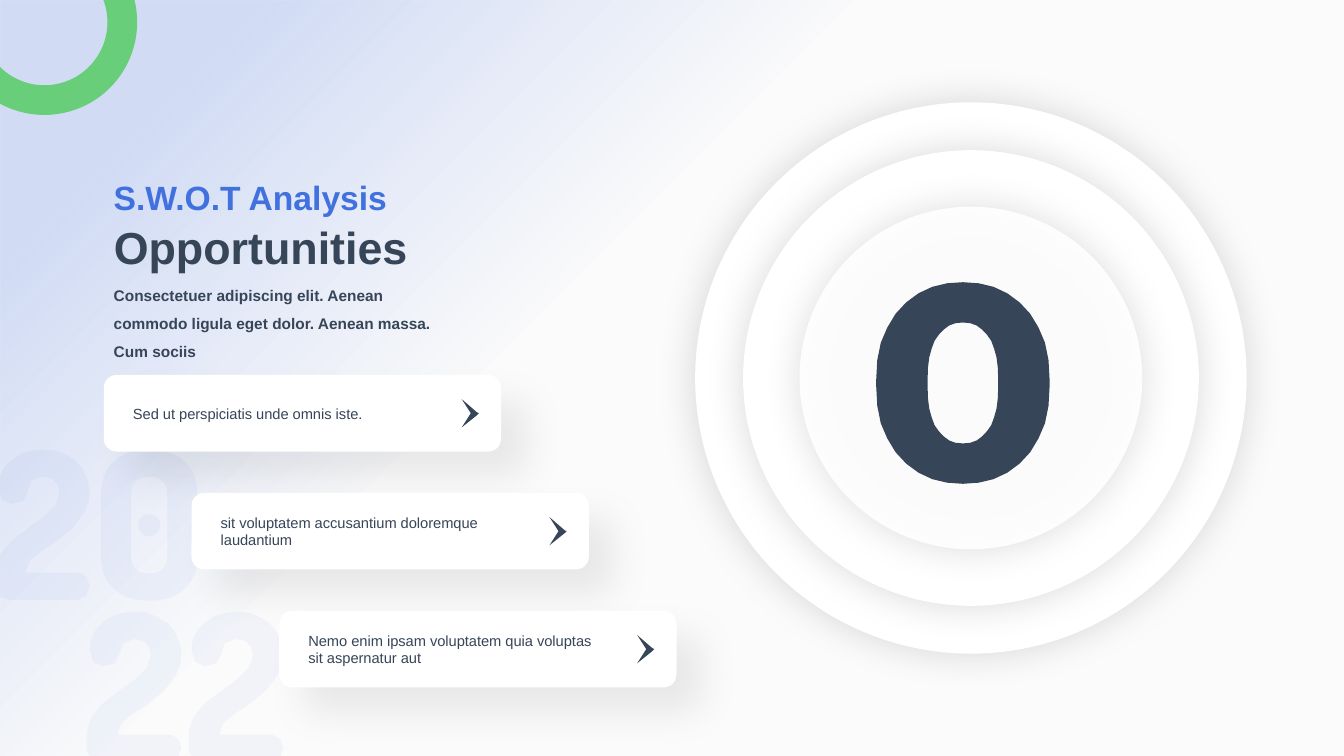
"""Build the S.W.O.T. opportunities slide."""
import lxml.etree
import pptx
import pptx.dml.color
import pptx.enum.shapes
import pptx.enum.text
import pptx.oxml.ns
import pptx.util

Inches = pptx.util.Inches
RGBColor = pptx.dml.color.RGBColor
SHAPE = pptx.enum.shapes.MSO_SHAPE
ANCHOR = pptx.enum.text.MSO_ANCHOR
qn = pptx.oxml.ns.qn

BLUE = RGBColor(0x41, 0x70, 0xDF)
NAVY = RGBColor(0x37, 0x45, 0x58)
GREEN = RGBColor(0x68, 0xCE, 0x7A)
WHITE = RGBColor(0xFF, 0xFF, 0xFF)
PAPER = RGBColor(0xFB, 0xFB, 0xFB)

WIDE, HIGH = 13.33, 7.5
WASH = [(0.13, 22), (0.41, 0)]
HEADS = [
    ("Consectetuer adipiscing elit. Aenean commodo ligula eget dolor. "
     "Aenean massa. Cum sociis",
     (1.03, 2.7, 3.56, 0.63), 11, NAVY, ANCHOR.TOP, 1.5),
    ("S.W.O.T Analysis", (1.03, 1.54, 3.56, 0.66), 24, BLUE, ANCHOR.BOTTOM, 1.5),
    ("Opportunities", (1.03, 2.13, 3.62, 0.64), 32, NAVY, ANCHOR.TOP, 1.0),
]
CARDS = [
    ("Sed ut perspiciatis unde omnis iste.", 3.09, 0.29),
    ("sit voluptatem accusantium doloremque laudantium", 3.28, 0.47),
    ("Nemo enim ipsam voluptatem quia voluptas sit aspernatur aut", 3.19, 0.47),
]
CARD = (3.94, 0.76)
FIRST, STEP = (1.03, 3.72), (0.87, 1.17)
DISCS = [(5.47, 100), (4.52, 100), (3.4, 91)]
HUB = (9.63, 3.75)
CHEVRON = [(0.15, 0.13), (0, 0), (0.09, 0.14), (0, 0.28), (0.15, 0.16), (0.17, 0.14)]

TWOS = [(-0.05, 4.46), (0.86, 6.07), (1.87, 6.07)]
TWO = [
    (0.47, 0), (0.6, 0.01), (0.7, 0.05), (0.8, 0.11), (0.87, 0.19), (0.92, 0.3),
    (0.94, 0.42), (0.93, 0.52), (0.89, 0.62), (0.77, 0.78), (0.61, 0.91),
    (0.46, 1.01), (0.35, 1.1), (0.31, 1.19), (0.31, 1.22), (0.84, 1.22),
    (0.91, 1.26), (0.94, 1.35), (0.91, 1.44), (0.84, 1.49), (0.13, 1.49),
    (0.05, 1.46), (0, 1.38), (0, 1.19), (0.05, 1.04), (0.17, 0.9), (0.33, 0.78),
    (0.48, 0.67), (0.6, 0.55), (0.64, 0.43), (0.62, 0.35), (0.57, 0.29),
    (0.47, 0.27), (0.36, 0.31), (0.32, 0.43), (0.28, 0.51), (0.16, 0.54),
    (0.07, 0.5), (0.03, 0.38), (0.04, 0.28), (0.09, 0.18), (0.17, 0.1),
    (0.26, 0.04), (0.36, 0.01),
]
PALE_MID, BOLD_MID = (1.48, 5.21), (9.55, 3.8)
PALE_ZERO = [
    [(0, -0.75), (0.09, -0.75, 0.17, -0.74, 0.25, -0.7),
     (0.32, -0.67, 0.37, -0.62, 0.42, -0.55), (0.46, -0.48, 0.48, -0.39, 0.48, -0.28)],
    [(0, -0.48), (0.06, -0.48, 0.1, -0.47, 0.14, -0.43),
     (0.17, -0.4, 0.18, -0.35, 0.18, -0.28)],
]
BOLD_ZERO = [
    [(0, -1), (0.16, -1, 0.31, -0.97, 0.44, -0.89),
     (0.57, -0.81, 0.68, -0.7, 0.75, -0.55), (0.83, -0.41, 0.86, -0.24, 0.86, -0.03)],
    [(0, -0.6), (0.08, -0.6, 0.14, -0.58, 0.19, -0.53),
     (0.24, -0.48, 0.29, -0.43, 0.31, -0.34), (0.34, -0.26, 0.35, -0.16, 0.35, -0.03)],
]


def trace(start, *curves, count=3):
    dots = [start]
    for curve in curves:
        a, b, c, d = dots[-1], curve[:2], curve[2:4], curve[4:]
        for i in range(1, count + 1):
            t = i / count
            u = 1 - t
            dots.append(tuple(u**3 * a[k] + 3 * u * u * t * b[k]
                              + 3 * u * t * t * c[k] + t**3 * d[k] for k in (0, 1)))
    return dots


def mirror(curves):
    arc = trace(*curves)
    side = arc + [(x, -y) for x, y in arc[::-1]]
    return side + [(-x, y) for x, y in side[-2:0:-1]]


def tint(tone, alpha):
    lxml.etree.SubElement(tone, qn("a:alpha"), val=str(alpha * 1000))


def paint(shape, tone, alpha=100):
    shape.shadow.inherit = False
    shape.line.fill.background()
    shape.fill.solid()
    shape.fill.fore_color.rgb = tone
    if alpha < 100:
        tint(next(shape.element.spPr.iter(qn("a:srgbClr"))), alpha)
    return shape


def add(slide, kind, box, tone, alpha=100):
    shape = slide.shapes.add_shape(kind, *map(Inches, box))
    return paint(shape, tone, alpha)


def draw(slide, loops, spot, tone, alpha=100):
    pen = None
    for loop in loops:
        dots = [(Inches(spot[0] + x), Inches(spot[1] + y)) for x, y in loop]
        if pen is None:
            pen = slide.shapes.build_freeform(*dots[0])
        else:
            pen.move_to(*dots[0])
        pen.add_line_segments(dots[1:], close=True)
    paint(pen.convert_to_shape(), tone, alpha)


def zero(slide, curves, spot, tone, alpha=100):
    outer, inner = map(mirror, curves)
    draw(slide, [outer, inner[::-1]], spot, tone, alpha)


def shade(shape, alpha, blur, gap, turn):
    holder = shape.element.spPr.find(qn("a:effectLst"))
    cast = lxml.etree.SubElement(
        holder, qn("a:outerShdw"), blurRad=str(blur * 12700), dist=str(gap * 12700),
        dir=str(turn * 60000), algn="ctr", rotWithShape="0")
    tint(lxml.etree.SubElement(cast, qn("a:srgbClr"), val="000000"), alpha)


def write(slide, text, box, size, tone, anchor, space=1.0, bold=False):
    frame = slide.shapes.add_textbox(*map(Inches, box)).text_frame
    frame.text = text
    frame.word_wrap = True
    frame.auto_size = pptx.enum.text.MSO_AUTO_SIZE.SHAPE_TO_FIT_TEXT
    frame.vertical_anchor = anchor
    para = frame.paragraphs[0]
    para.line_spacing = space
    font = para.runs[0].font
    font.name, font.size, font.bold = "Arial", pptx.util.Pt(size), bold
    font.color.rgb = tone


def main():
    deck = pptx.Presentation()
    deck.slide_width, deck.slide_height = Inches(WIDE), Inches(HIGH)
    slide = deck.slides.add_slide(deck.slide_layouts[6])
    slide.background.fill.solid()
    slide.background.fill.fore_color.rgb = PAPER

    wash = add(slide, SHAPE.RECTANGLE, (0, 0, WIDE, HIGH), BLUE)
    wash.fill.gradient()
    wash.fill.gradient_angle = 315
    for stop, (place, alpha) in zip(wash.fill.gradient_stops, WASH):
        stop.position = place
        stop.color.rgb = BLUE
    for tone, (place, alpha) in zip(wash.element.spPr.iter(qn("a:srgbClr")), WASH):
        tint(tone, alpha)

    for spot in TWOS:
        draw(slide, [TWO], spot, BLUE, 5)
    zero(slide, PALE_ZERO, PALE_MID, BLUE, 5)
    add(slide, SHAPE.OVAL, (1.37, 5.1, 0.22, 0.22), BLUE, 5)

    for size, alpha in DISCS:
        box = (HUB[0] - size / 2, HUB[1] - size / 2, size, size)
        shade(add(slide, SHAPE.OVAL, box, WHITE, alpha), 14, 28, 0, 57)

    for head in HEADS:
        write(slide, *head, bold=True)

    for i, (text, width, height) in enumerate(CARDS):
        left, top = (FIRST[k] + i * STEP[k] for k in (0, 1))
        card = add(slide, SHAPE.ROUNDED_RECTANGLE, (left, top, *CARD), WHITE)
        shade(card, 7, 28, 25, 45)
        box = (left + 0.19, top + (CARD[1] - height) / 2, width, height)
        write(slide, text, box, 10.5, NAVY, ANCHOR.MIDDLE)
        draw(slide, [CHEVRON], (left + 3.55, top + 0.24), NAVY)

    zero(slide, BOLD_ZERO, BOLD_MID, NAVY)

    ring = add(slide, SHAPE.BLOCK_ARC, (-0.48, -0.7, 1.84, 1.84), GREEN)
    ring.adjustments[2] = 0.16
    ring.rotation = 150
    deck.save("out.pptx")


if __name__ == "__main__":
    main()
